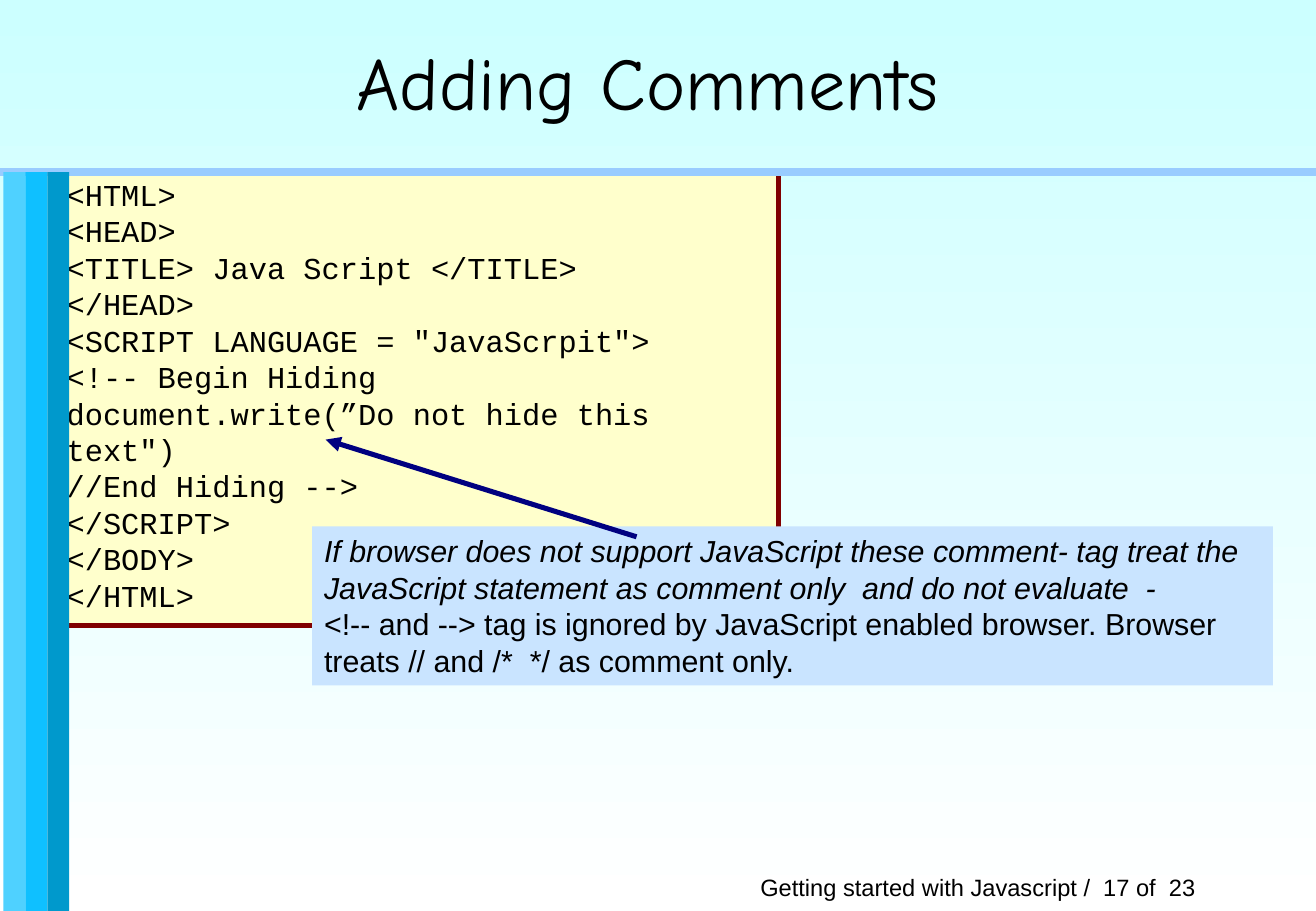
from lxml.etree import SubElement
from pptx import Presentation
from pptx.dml.color import RGBColor
from pptx.enum.shapes import MSO_CONNECTOR, MSO_SHAPE
from pptx.enum.text import MSO_ANCHOR, PP_ALIGN
from pptx.oxml.ns import qn
from pptx.util import Pt

# Content
TITLE = "Adding Comments"
FOOTER = "Getting started with Javascript /  17 of  23"
CODE = [
    "<HTML>",
    "<HEAD>",
    "<TITLE> Java Script </TITLE>",
    "</HEAD>",
    '<SCRIPT LANGUAGE = "JavaScrpit">',
    "<!-- Begin Hiding",
    'document.write(”Do not hide this text")',
    "//End Hiding -->",
    "</SCRIPT>",
    "</BODY>",
    "</HTML>",
]
EXPLANATION = [
    "If browser does not support JavaScript these comment- tag treat the "
    "JavaScript statement as comment only  and do not evaluate  -",
    "<!-- and --> tag is ignored by JavaScript enabled browser. "
    "Browser treats // and /*  */ as comment only.",
]

# Colours and sizes
BLACK = RGBColor(0x00, 0x00, 0x00)
SKY_TOP = RGBColor(0xCC, 0xFF, 0xFF)
SKY_BOTTOM = RGBColor(0xFF, 0xFF, 0xFF)
CREAM = RGBColor(0xFF, 0xFF, 0xCC)
MAROON = RGBColor(0x80, 0x00, 0x00)
PALE_BLUE = RGBColor(0xC9, 0xE4, 0xFF)
NAVY = RGBColor(0x00, 0x00, 0x80)
RULE_BLUE = RGBColor(0x99, 0xCC, 0xFF)
STRIPES = [
    RGBColor(0x4F, 0xD1, 0xFF),
    RGBColor(0x0F, 0xC0, 0xFF),
    RGBColor(0x00, 0x99, 0xCC),
]
PAGE_WIDTH, PAGE_HEIGHT = 780, 540
RULE_TOP = 102
STRIPE_LEFT, STRIPE_WIDTH = 2, 13

deck = Presentation()
deck.slide_width, deck.slide_height = Pt(PAGE_WIDTH), Pt(PAGE_HEIGHT)
page = deck.slides.add_slide(deck.slide_layouts[6])


def write(box, lines, font, size, align=PP_ALIGN.LEFT, anchor=MSO_ANCHOR.TOP):
    frame = box.text_frame
    frame.word_wrap = True
    frame.vertical_anchor = anchor
    frame.text = "\n".join(lines)
    for para in frame.paragraphs:
        para.alignment = align
        for span in para.runs:
            span.font.name = font
            span.font.size = Pt(size)
            span.font.color.rgb = BLACK


def add_text(left, top, width, height, *text, **options):
    box = page.shapes.add_textbox(Pt(left), Pt(top), Pt(width), Pt(height))
    write(box, *text, **options)


def add_panel(left, top, width, height, fill, border=None):
    panel = page.shapes.add_shape(
        MSO_SHAPE.RECTANGLE, Pt(left), Pt(top), Pt(width), Pt(height))
    panel.shadow.inherit = False
    panel.fill.solid()
    panel.fill.fore_color.rgb = fill
    if border is None:
        panel.line.fill.background()
    else:
        panel.line.color.rgb = border
        panel.line.width = Pt(3)
    return panel


def add_line(start, end, color, width):
    line = page.shapes.add_connector(
        MSO_CONNECTOR.STRAIGHT, *map(Pt, start), *map(Pt, end))
    line.line.color.rgb = color
    line.line.width = Pt(width)
    SubElement(line._element.spPr, qn("a:effectLst"))
    return line


# Background gradient, top to bottom
background = page.background.fill
background.gradient()
background.gradient_angle = 270
for stop, color, position in zip(
        background.gradient_stops, (SKY_TOP, SKY_BOTTOM), (0, 1)):
    stop.color.rgb = color
    stop.position = position

# Footer and title
add_text(432, 508, 284, 36, [FOOTER], "Arial", 14,
         align=PP_ALIGN.RIGHT, anchor=MSO_ANCHOR.MIDDLE)
add_text(0, 18, 768, 60, [TITLE], "Comic Neue", 44, align=PP_ALIGN.CENTER)

# Code listing and its explanation
listing = add_panel(32.4, 100.8, 429, 270, CREAM, MAROON)
write(listing, CODE, "Courier New", 18)
explanation = add_panel(185, 312, 569.5, 94.3, PALE_BLUE)
write(explanation, EXPLANATION, "Arial", 18)
for span in explanation.text_frame.paragraphs[0].runs:
    span.font.italic = True

# Arrow from the explanation to the comment
arrow = add_line((377.3, 318.2), (193, 260.6), NAVY, 3)
SubElement(arrow.line._get_or_add_ln(), qn("a:tailEnd"), type="triangle")

# Horizontal rule and side stripes
add_line((0, RULE_TOP), (PAGE_WIDTH, RULE_TOP), RULE_BLUE, 5)
for index, color in enumerate(STRIPES):
    add_panel(STRIPE_LEFT + index * STRIPE_WIDTH, RULE_TOP,
              STRIPE_WIDTH, PAGE_HEIGHT - RULE_TOP, color)

deck.save("out.pptx")
